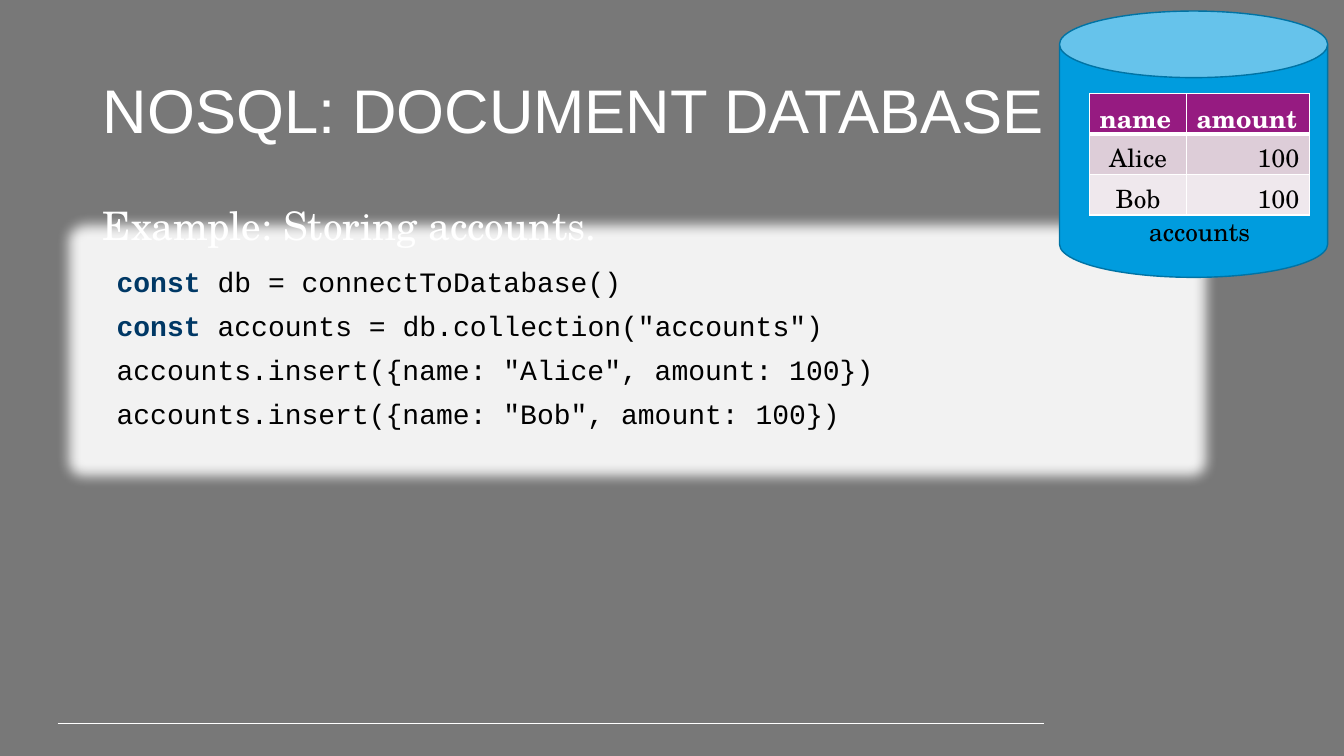
from lxml.etree import SubElement
from pptx import Presentation
from pptx.dml.color import RGBColor
from pptx.enum.shapes import MSO_CONNECTOR, MSO_SHAPE
from pptx.enum.text import MSO_ANCHOR, PP_ALIGN
from pptx.oxml.ns import qn
from pptx.util import Cm, Pt

COLORS = {
    "background": "787878",
    "white": "FFFFFF",
    "black": "000000",
    "keyword": "003865",
    "panel": "F2F2F2",
    "can": "009CDE",
    "can_edge": "0073A4",
    "header": "961B81",
    "odd_row": "DDCDD8",
    "even_row": "EFE8ED",
}
SERIF = "TeX Gyre Schola"
TITLE = {"name": "Arial", "size": Pt(44)}
BODY = {"name": SERIF, "size": Pt(28)}
SMALL = {"name": SERIF, "size": Pt(18), "bold": False}
HEADING = {**SMALL, "bold": True}
CODE = {"name": "Courier New", "size": Pt(20), "bold": False}
KEYWORD = {**CODE, "bold": True}
PARAGRAPH = {"line_spacing": 0.9, "space_before": Pt(0)}

CODE_LINES = [
    [("const ", KEYWORD, "keyword"), ("db = connectToDatabase()", CODE, "black")],
    [("const", KEYWORD, "keyword"),
     (' accounts = db.collection("accounts")', CODE, "black")],
    [('accounts.insert({name: "Alice", amount: 100})', CODE, "black")],
    [('accounts.insert({name: "Bob", amount: 100})', CODE, "black")],
]
ACCOUNTS = [("name", "amount"), ("Alice", "100"), ("Bob", "100")]


def rgb(key):
    return RGBColor.from_string(COLORS[key])


def apply(target, values):
    for name, value in values.items():
        setattr(target, name, value)


def add_run(p, text, font, color):
    r = p.add_run()
    r.text = text
    apply(r.font, font)
    r.font.color.rgb = rgb(color)


def add_text(s, box, text, font, color, align=PP_ALIGN.LEFT, anchor=MSO_ANCHOR.TOP):
    tf = s.shapes.add_textbox(*map(Cm, box)).text_frame
    apply(tf, {"word_wrap": True, "vertical_anchor": anchor})
    p = tf.paragraphs[0]
    apply(p, {**PARAGRAPH, "alignment": align})
    add_run(p, text, font, color)


def add_shape(s, kind, box, fill):
    sp = s.shapes.add_shape(kind, *map(Cm, box))
    sp.shadow.inherit = False
    sp.fill.solid()
    sp.fill.fore_color.rgb = rgb(fill)
    sp.line.fill.background()
    return sp


def add_glow(sp, color, radius):
    effects = sp._element.spPr.find(qn("a:effectLst"))
    glow = SubElement(effects, qn("a:glow"), rad=str(int(radius)))
    SubElement(glow, qn("a:srgbClr"), val=COLORS[color])


def add_code_panel(s, box):
    sp = add_shape(s, MSO_SHAPE.RECTANGLE, box, "panel")
    add_glow(sp, "panel", Pt(18))
    tf = sp.text_frame
    apply(tf, {"word_wrap": True, "vertical_anchor": MSO_ANCHOR.TOP})
    for i, line in enumerate(CODE_LINES):
        p = tf.add_paragraph() if i else tf.paragraphs[0]
        apply(p, {**PARAGRAPH, "alignment": PP_ALIGN.LEFT})
        if i:
            p.space_before = Pt(10)
        for text, font, color in line:
            add_run(p, text, font, color)


def add_can(s, box):
    sp = add_shape(s, MSO_SHAPE.CAN, box, "can")
    sp.line.color.rgb = rgb("can_edge")
    sp.line.width = Pt(1)


def add_rule(s, left, right, y):
    line = s.shapes.add_connector(
        MSO_CONNECTOR.STRAIGHT, Cm(left), Cm(y), Cm(right), Cm(y))
    line.line.color.rgb = rgb("white")
    line.line.width = Pt(0.75)
    SubElement(line._element.spPr, qn("a:effectLst"))


def add_border(cell, side, width):
    ln = SubElement(cell._tc.get_or_add_tcPr(), qn(f"a:ln{side}"), w=str(int(width)))
    fill = SubElement(ln, qn("a:solidFill"))
    SubElement(fill, qn("a:srgbClr"), val=COLORS["white"])


def add_accounts_table(s, left, top, widths, row_height):
    rows = len(ACCOUNTS)
    table = s.shapes.add_table(
        rows, len(widths), Cm(left), Cm(top),
        Cm(sum(widths)), Cm(row_height * rows)).table
    table.horz_banding = False
    for column, width in zip(table.columns, widths):
        column.width = Cm(width)
    fills = ["header", "odd_row", "even_row"]
    body_aligns = [PP_ALIGN.CENTER, PP_ALIGN.RIGHT]
    for i, values in enumerate(ACCOUNTS):
        table.rows[i].height = Cm(row_height)
        for j, value in enumerate(values):
            cell = table.cell(i, j)
            for side in "LRTB":
                thick = (i, side) in [(0, "B"), (1, "T")]
                add_border(cell, side, Pt(3 if thick else 1))
            cell.fill.solid()
            cell.fill.fore_color.rgb = rgb(fills[i])
            p = cell.text_frame.paragraphs[0]
            p.alignment = body_aligns[j] if i else PP_ALIGN.LEFT
            add_run(p, value, SMALL if i else HEADING, "black" if i else "white")


def main():
    prs = Presentation()
    apply(prs, {"slide_width": Cm(33.87), "slide_height": Cm(19.05)})
    s = prs.slides.add_slide(prs.slide_layouts[6])
    s.background.fill.solid()
    s.background.fill.fore_color.rgb = rgb("background")

    add_rule(s, 1.45, 26.31, 18.24)
    add_code_panel(s, (2.69, 6.63, 26.75, 4.42))
    add_text(s, (2.34, 1.02, 29.49, 3.68), "NOSQL: DOCUMENT DATABASE",
             TITLE, "white", anchor=MSO_ANCHOR.MIDDLE)
    add_text(s, (2.34, 5.08, 18.19, 1.35), "Example: Storing accounts.", BODY, "white")
    add_can(s, (26.7, 0.28, 6.76, 6.71))
    add_accounts_table(s, 27.46, 2.36, (2.44, 3.1), 1.02)
    add_text(s, (27.46, 5.41, 5.54, 0.94), "accounts", SMALL, "black", PP_ALIGN.CENTER)

    prs.save("out.pptx")


if __name__ == "__main__":
    main()
